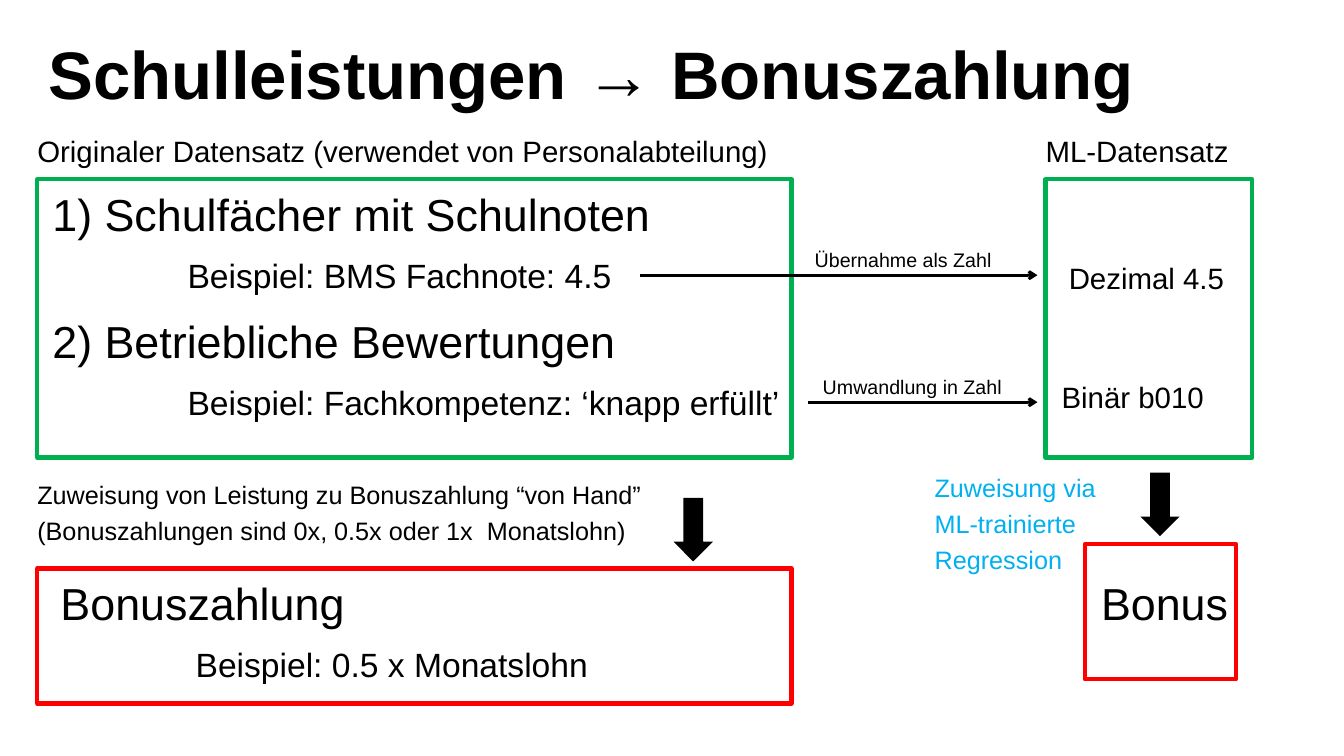
"""Build the slide that maps school results to bonus payments."""
from lxml import etree
from pptx import Presentation
from pptx.dml.color import RGBColor
from pptx.enum.shapes import MSO_CONNECTOR, MSO_SHAPE
from pptx.enum.text import MSO_ANCHOR, MSO_AUTO_SIZE, PP_ALIGN
from pptx.oxml.ns import qn
from pptx.util import Emu, Pt

RECT = MSO_SHAPE.RECTANGLE
DOWN = MSO_SHAPE.DOWN_ARROW
LINE = MSO_CONNECTOR.STRAIGHT
LEFT = PP_ALIGN.LEFT
TOP = MSO_ANCHOR.TOP
NO_FIT = MSO_AUTO_SIZE.NONE
SCALE = 9144
FONT = "Arial"
BLACK = "000000"
GREEN = "00B050"
RED = "FF0000"
BLUE = "00B0F0"


def px(*nums):
    """Turn pixel lengths into EMU."""
    return [Emu(num * SCALE) for num in nums]


def paint(form, color):
    """Give a fill, line or font format a solid hex colour."""
    if hasattr(form, "solid"):
        form.solid()
        form = form.fore_color
    else:
        form = form.color
    form.rgb = RGBColor.from_string(color)


def write(frame, text, size=24, color=BLACK, bold=False, lead=26, wrap=False):
    """Fill a text frame with one paragraph per line of text."""
    frame.margin_left = frame.margin_right = 0
    frame.margin_top = frame.margin_bottom = 0
    frame.word_wrap = wrap
    frame.auto_size = NO_FIT
    frame.vertical_anchor = TOP
    for num, line in enumerate(text.split("\n")):
        para = frame.add_paragraph() if num else frame.paragraphs[0]
        para.alignment = LEFT
        para.line_spacing = Pt(lead)
        para.space_before = Pt(0)
        run = para.add_run()
        run.text = line
        run.font.name = FONT
        run.font.size = Pt(size)
        run.font.bold = bold
        paint(run.font, color)


def label(slide, left, top, width, height, text, **style):
    """Add a text box."""
    box = slide.shapes.add_textbox(*px(left, top, width, height))
    write(box.text_frame, text, **style)


def frame(slide, box, color):
    """Draw an unfilled rectangle."""
    shape = slide.shapes.add_shape(RECT, *px(*box))
    shape.shadow.inherit = False
    shape.fill.background()
    paint(shape.line, color)
    shape.line.width = Pt(3)


def drop(slide, left, top):
    """Draw a black block arrow that points down."""
    shape = slide.shapes.add_shape(DOWN, *px(left, top, 39, 63))
    shape.shadow.inherit = False
    paint(shape.fill, BLACK)
    shape.line.fill.background()


def arrow(slide, start, end, y):
    """Draw a level line with an arrowhead at its end."""
    line = slide.shapes.add_connector(LINE, *px(start, y, end, y))
    paint(line.line, BLACK)
    line.line.width = Pt(2)
    props = line._element.spPr
    etree.SubElement(props.find(qn("a:ln")), qn("a:tailEnd"), type="arrow")
    etree.SubElement(props, qn("a:effectLst"))


def heading(slide, box, text):
    """Place the slide title."""
    title = slide.shapes.title
    title.left, title.top, title.width, title.height = px(*box)
    write(title.text_frame, text, size=48, bold=True, lead=55, wrap=True)


def source(slide, box):
    """Place the data set of the staff department."""
    left, top, width, _ = box
    frame(slide, box, GREEN)
    label(slide, left, top - 47, width, 39,
          "Originaler Datensatz (verwendet von Personalabteilung)", size=21)
    parts = [("1) Schulfächer mit Schulnoten",
              "Beispiel: BMS Fachnote: 4.5"),
             ("2) Betriebliche Bewertungen",
              "Beispiel: Fachkompetenz: ‘knapp erfüllt’")]
    for row, (head, case) in enumerate(parts):
        y = top + 24 + 126 * row
        label(slide, left + 15, y, 693, 31, head, size=32)
        label(slide, left + 149, y + 55, 591, 47, case)


def target(slide, box):
    """Place the data set for machine learning."""
    left, top, width, _ = box
    frame(slide, box, GREEN)
    label(slide, left, top - 47, width, 39, "ML-Datensatz", size=21)
    label(slide, left + 23, top + 79, 71, 39, "Dezimal 4.5", size=21)
    label(slide, left + 16, top + 197, 150, 39, "Binär b010", size=21)


def transfer(slide, box):
    """Place the arrows between both data sets."""
    left, top, width, _ = box
    steps = [(0, 173, "Übernahme als Zahl"), (166, 181, "Umwandlung in Zahl")]
    for row, (start, shift, text) in enumerate(steps):
        y = top + 126 * row
        arrow(slide, left + start, left + width, y + 40)
        label(slide, left + shift, y, 205, 31, text, size=14)


def manual(slide, box):
    """Place the bonus that is set by hand."""
    left, top, _, _ = box
    frame(slide, box, RED)
    label(slide, left, top - 95, 622, 78,
          "Zuweisung von Leistung zu Bonuszahlung “von Hand”\n"
          "(Bonuszahlungen sind 0x, 0.5x oder 1x  Monatslohn)", size=18)
    drop(slide, left + 631, top - 70)
    label(slide, left + 23, top + 24, 315, 31, "Bonuszahlung", size=32)
    label(slide, left + 157, top + 79, 291, 47, "Beispiel: 0.5 x Monatslohn")


def learned(slide, box):
    """Place the bonus that the regression assigns."""
    left, top, _, _ = box
    frame(slide, box, RED)
    label(slide, left - 149, top - 78, 173, 110,
          "Zuweisung via\nML-trainierte\nRegression", size=18, color=BLUE)
    drop(slide, left + 55, top - 71)
    label(slide, left + 16, top + 48, 142, 31, "Bonus", size=32)


def main():
    """Build and save the deck."""
    deck = Presentation()
    deck.slide_width, deck.slide_height = px(1333, 750)
    slide = deck.slides.add_slide(deck.slide_layouts[5])
    heading(slide, (48, 36, 1236, 79), "Schulleistungen → Bonuszahlung")
    source(slide, (37, 178, 748, 276))
    target(slide, (1037, 178, 205, 276))
    transfer(slide, (635, 233, 394, 166))
    manual(slide, (37, 564, 748, 134))
    learned(slide, (1076, 540, 150, 134))
    deck.save("out.pptx")


if __name__ == "__main__":
    main()
